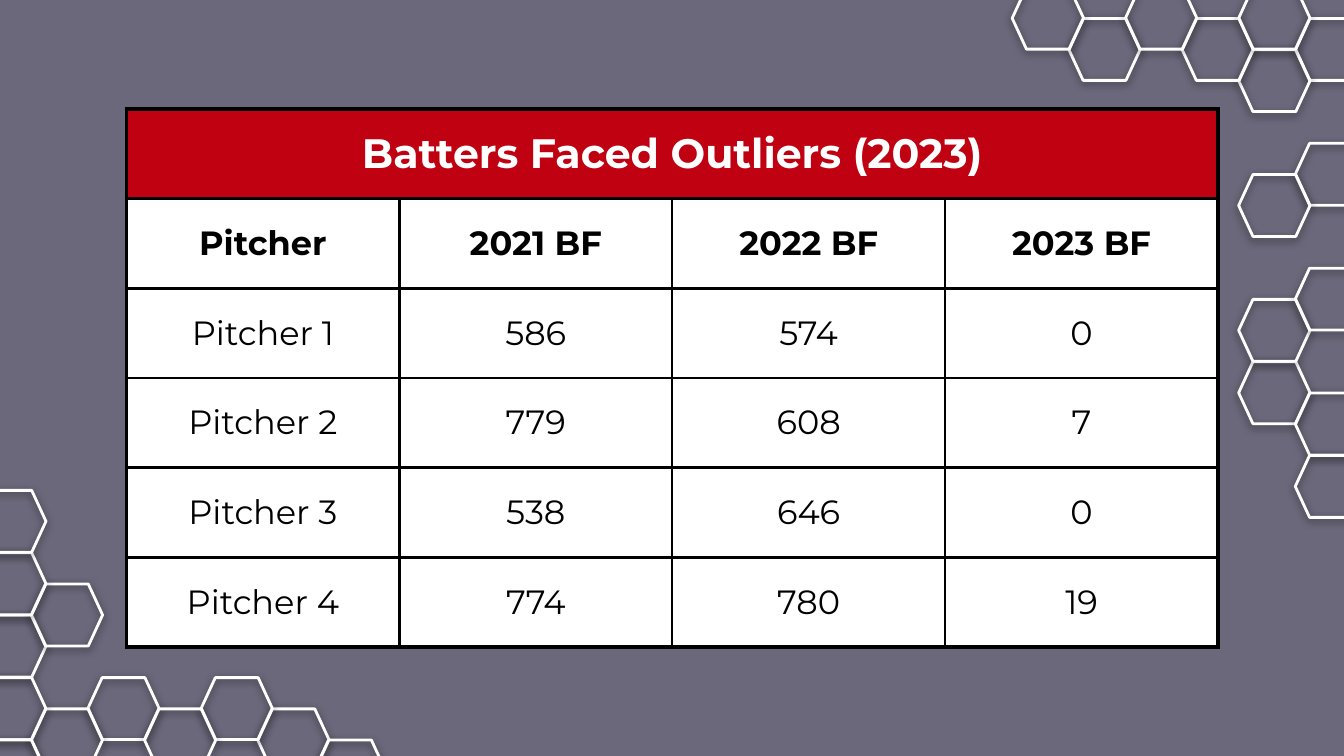
"""Build the slide of pitchers whose 2023 batters faced are outliers."""
from dataclasses import dataclass

from lxml import etree
from pptx import Presentation
from pptx.dml.color import RGBColor
from pptx.enum.shapes import MSO_SHAPE
from pptx.enum.text import MSO_ANCHOR, PP_ALIGN
from pptx.oxml.ns import qn
from pptx.util import Cm, Pt

HEXAGON = MSO_SHAPE.FLOWCHART_PREPARATION
MIDDLE = MSO_ANCHOR.MIDDLE
CENTER = PP_ALIGN.CENTER


@dataclass(frozen=True)
class Theme:
    background: str = "6A687A"
    banner: str = "BF0111"
    light: str = "FFFFFF"
    dark: str = "000000"
    font: str = "Montserrat"
    banner_size: float = 22
    body_size: float = 18
    thin: float = 1.5
    thick: float = 2.25


theme = Theme()


def write(cell, text, *, size, color, bold):
    cell.vertical_anchor = MIDDLE
    cell.margin_left = cell.margin_right = Cm(0.25)
    cell.margin_top = cell.margin_bottom = Cm(0.25)
    paragraph = cell.text_frame.paragraphs[0]
    paragraph.alignment = CENTER
    run = paragraph.add_run()
    run.text = text
    run.font.name = theme.font
    run.font.size = Pt(size)
    run.font.bold = bold
    run.font.color.rgb = RGBColor.from_string(color)


def add_color(parent, color):
    solid = etree.SubElement(parent, qn("a:solidFill"))
    return etree.SubElement(solid, qn("a:srgbClr"), val=color)


deck = Presentation()
deck.slide_width, deck.slide_height = Cm(25.4), Cm(14.29)
slide = deck.slides.add_slide(deck.slide_layouts[6])
slide.background.fill.solid()
slide.background.fill.fore_color.rgb = RGBColor.from_string(theme.background)

rows = [
    ["Batters Faced Outliers (2023)", "", "", ""],
    ["Pitcher", "2021 BF", "2022 BF", "2023 BF"],
    ["Pitcher 1", "586", "574", "0"],
    ["Pitcher 2", "779", "608", "7"],
    ["Pitcher 3", "538", "646", "0"],
    ["Pitcher 4", "774", "780", "19"],
]
last_row, last_column = len(rows) - 1, len(rows[0]) - 1

right_comb = (19.13, -0.24, [
    (4, 12), (4, 10), (5, 1), (4, 2), (3, 1), (1, 1), (2, 0),
    (4, 0), (5, 5), (0, 0), (4, 6), (5, 9), (5, 13), (5, 15),
])
left_comb = (-0.48, 9.27, [
    (5, 7), (4, 6), (2, 6), (3, 7), (1, 7), (0, 4),
    (1, 3), (0, 6), (0, 2), (0, 0), (0, 8), (6, 8),
])
column_step, half_row_step = 1.07, 0.59

for comb_left, comb_top, places in (right_comb, left_comb):
    comb = slide.shapes.add_group_shape()
    for column, half_row in places:
        hexagon = comb.shapes.add_shape(
            HEXAGON,
            Cm(comb_left + column * column_step),
            Cm(comb_top + half_row * half_row_step),
            Cm(1.35), Cm(1.17),
        )
        hexagon.fill.background()
        hexagon.line.color.rgb = RGBColor.from_string(theme.light)
        hexagon.line.width = Pt(theme.thin)
        hexagon.shadow.inherit = False
        effects = hexagon.element.spPr.find(qn("a:effectLst"))
        glow = etree.SubElement(
            effects, qn("a:outerShdw"), blurRad=str(Pt(4.5)),
            dist=str(Pt(1.5)), dir="5400000", algn="bl", rotWithShape="0",
        )
        tint = etree.SubElement(glow, qn("a:srgbClr"), val=theme.dark)
        etree.SubElement(tint, qn("a:alpha"), val="50000")

    if places is right_comb[2]:
        batters_faced = slide.shapes.add_table(
            len(rows), len(rows[0]), Cm(2.39), Cm(2.06), Cm(20.63), Cm(10.17)
        ).table
        batters_faced.first_row = batters_faced.horz_banding = False
        batters_faced.cell(0, 0).merge(batters_faced.cell(0, last_column))

for row, entries in enumerate(rows):
    is_banner = row == 0
    for column, entry in enumerate(entries):
        cell = batters_faced.cell(row, column)
        edges = {
            "a:lnL": is_banner or column == 0,
            "a:lnR": is_banner or column == last_column,
            "a:lnT": row <= 1,
            "a:lnB": is_banner or row == last_row,
        }
        properties = cell._tc.get_or_add_tcPr()
        for edge, is_thick in edges.items():
            width = Pt(theme.thick if is_thick else theme.thin)
            border = etree.SubElement(properties, qn(edge), w=str(width))
            add_color(border, theme.dark)
        cell.fill.solid()
        cell.fill.fore_color.rgb = RGBColor.from_string(
            theme.banner if is_banner else theme.light
        )
        if entry:
            write(
                cell, entry, bold=row <= 1,
                size=theme.banner_size if is_banner else theme.body_size,
                color=theme.light if is_banner else theme.dark,
            )

deck.save("out.pptx")
